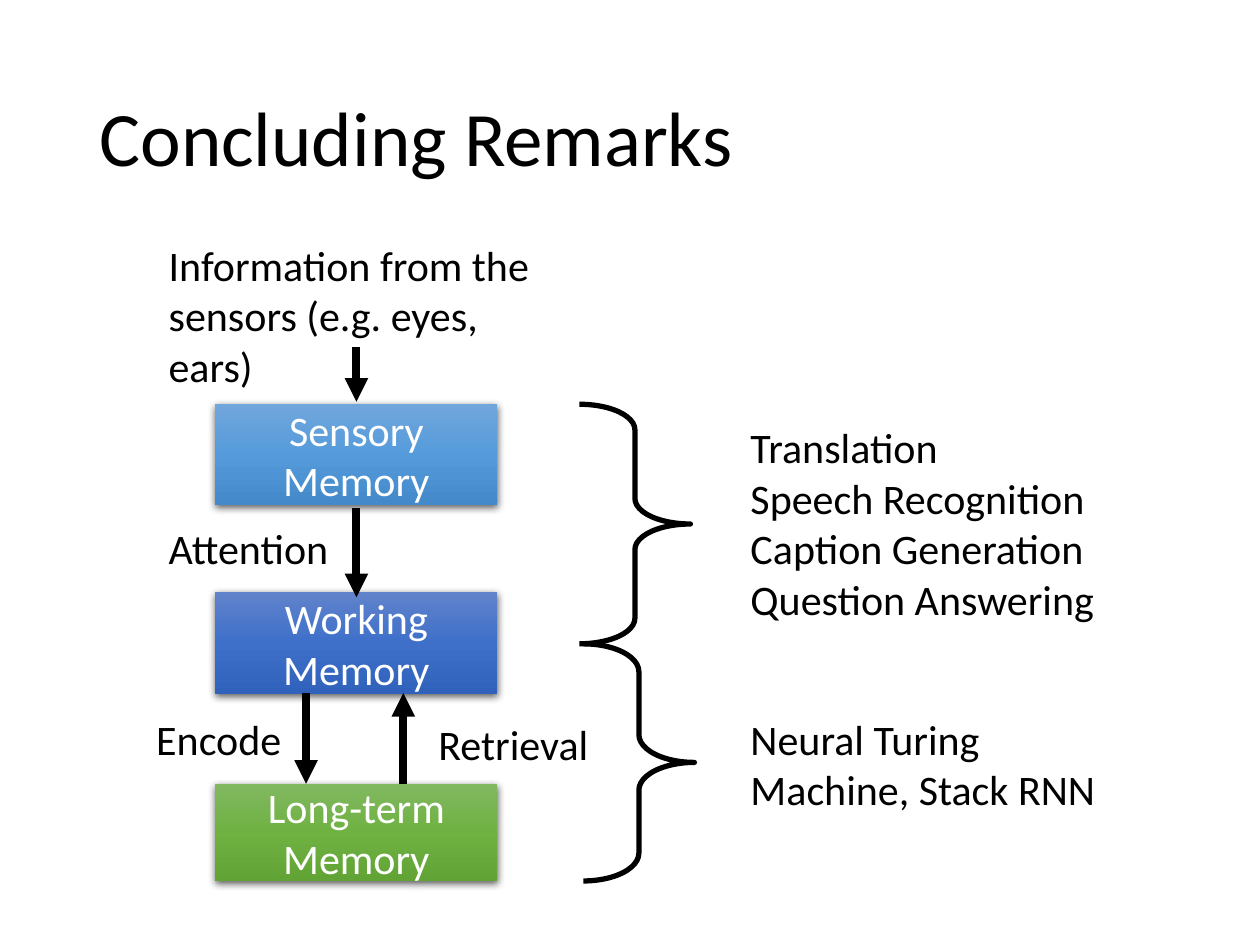
from copy import deepcopy

from lxml.etree import SubElement
from pptx import Presentation
from pptx.dml.color import RGBColor
from pptx.enum.shapes import MSO_CONNECTOR as Connector, MSO_SHAPE as Shape
from pptx.enum.text import MSO_ANCHOR as Anchor, MSO_AUTO_SIZE as AutoSize, PP_ALIGN as Align
from pptx.oxml.ns import qn
from pptx.util import Cm, Pt

BLACK, WHITE = "000000", "FFFFFF"
TITLE = "Concluding Remarks"

# Lengths in cm
MEMORY_LEFT, MEMORY_WIDTH = 4.34, 5.69
MEMORY_CENTER = MEMORY_LEFT + MEMORY_WIDTH / 2
MEMORIES = [  # text, top, height, gradient colours
    ("Sensory Memory", 8.15, 2.03, ("71A6DB", "559BDB", "448ACA")),
    ("Working Memory", 11.94, 2.06, ("6183CB", "3E70CA", "3062BB")),
    ("Long-term Memory", 15.8, 1.96, ("81B861", "6FB242", "62A336")),
]
ARROWS = [  # x, start y, end y
    (MEMORY_CENTER, 6.99, 8.1),
    (MEMORY_CENTER, 10.24, 12.04),
    (6.17, 13.97, 15.8),
    (8.13, 15.8, 13.97),
]
LABELS = [  # paragraphs, left, top, width, height
    (["Information from the sensors (e.g. eyes, ears)"], 3.15, 4.7, 8.59, 2.31),
    (["Attention"], 3.15, 10.41, 4.29, 1.27),
    (["Encode"], 2.9, 14.25, 3.86, 1.27),
    (["Retrieval"], 8.59, 14.35, 3.86, 1.27),
    (["Neural Turing Machine, Stack RNN"], 14.88, 14.25, 8.36, 2.31),
    (["Translation", "Speech Recognition", "Caption Generation", "Question Answering"],
     14.88, 8.38, 8.36, 4.37),
]
BRACES = [  # left, top, height, curve
    (11.76, 12.98, 4.78, 0.25),
    (11.68, 8.15, 4.83, 0.23),
]
BRACE_WIDTH = 2.24


def color(value):
    return RGBColor.from_string(value)


def write(shape, lines, size=24, ink=BLACK, **paragraph_format):
    frame = shape.text_frame
    frame.word_wrap = True
    frame.text = "\n".join(lines)
    for para in frame.paragraphs:
        for name, value in paragraph_format.items():
            setattr(para, name, value)
        for span in para.runs:
            for name, value in {"name": "Calibri", "size": Pt(size)}.items():
                setattr(span.font, name, value)
            span.font.color.rgb = color(ink)


def fill_gradient(shape, colors):
    """Fill from top to bottom with evenly spaced colours."""
    shape.fill.gradient()
    shape.fill.gradient_angle = 270
    stop_list = shape._element.spPr.find(".//" + qn("a:gsLst"))
    while len(stop_list) < len(colors):
        stop_list.append(deepcopy(stop_list[0]))
    for index, (stop, value) in enumerate(zip(shape.fill.gradient_stops, colors)):
        stop.position = index / (len(colors) - 1)
        stop.color.rgb = color(value)


def drop_shadow(shape):
    shape.shadow.inherit = False
    effects = shape._element.spPr.find(qn("a:effectLst"))
    shadow = SubElement(effects, qn("a:outerShdw"), blurRad=str(Pt(4.5)),
                        dist=str(Pt(1.5)), dir="5400000", algn="ctr", rotWithShape="0")
    ink = SubElement(shadow, qn("a:srgbClr"), val=BLACK)
    SubElement(ink, qn("a:alpha"), val="63000")


def add_memory(page, text, top, height, colors):
    box = page.shapes.add_shape(Shape.RECTANGLE, Cm(MEMORY_LEFT), Cm(top),
                                Cm(MEMORY_WIDTH), Cm(height))
    fill_gradient(box, colors)
    box.line.fill.background()
    drop_shadow(box)
    box.text_frame.vertical_anchor = Anchor.MIDDLE
    write(box, [text], ink=WHITE, alignment=Align.CENTER)


def add_label(page, lines, left, top, width, height):
    box = page.shapes.add_textbox(Cm(left), Cm(top), Cm(width), Cm(height))
    write(box, lines)
    box.text_frame.auto_size = AutoSize.SHAPE_TO_FIT_TEXT


def add_arrow(page, x, start, end):
    arrow = page.shapes.add_connector(Connector.STRAIGHT, Cm(x), Cm(start), Cm(x), Cm(end))
    arrow.line.color.rgb = color(BLACK)
    arrow.line.width = Pt(4.5)
    SubElement(arrow.line._get_or_add_ln(), qn("a:tailEnd"), type="triangle")
    SubElement(arrow._element.spPr, qn("a:effectLst"))


def add_brace(page, left, top, height, curve):
    brace = page.shapes.add_shape(Shape.RIGHT_BRACE, Cm(left), Cm(top),
                                  Cm(BRACE_WIDTH), Cm(height))
    brace.adjustments[0] = curve
    brace.shadow.inherit = False
    brace.fill.background()
    brace.line.color.rgb = color(BLACK)
    brace.line.width = Pt(3)


def main():
    deck = Presentation()
    deck.slide_width, deck.slide_height = Cm(25.4), Cm(19.05)
    page = deck.slides.add_slide(deck.slide_layouts[5])

    title = page.shapes.title
    place = {"left": 1.75, "top": 1.02, "width": 21.9, "height": 3.68}
    for name, value in place.items():
        setattr(title, name, Cm(value))
    title.text_frame.vertical_anchor = Anchor.MIDDLE
    write(title, [TITLE], size=44, alignment=Align.LEFT, line_spacing=0.9)

    for add, items in ((add_memory, MEMORIES), (add_arrow, ARROWS),
                       (add_label, LABELS), (add_brace, BRACES)):
        for item in items:
            add(page, *item)
    deck.save("out.pptx")


if __name__ == "__main__":
    main()
